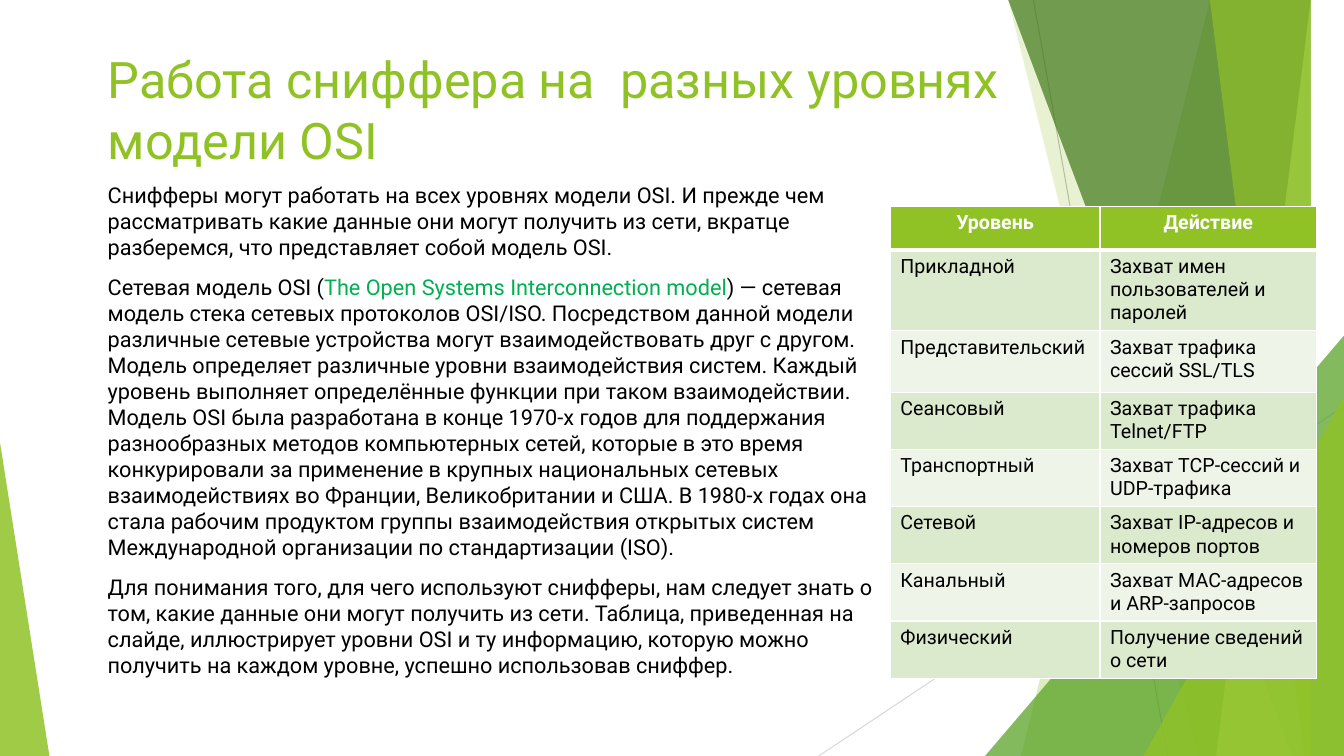
"""Builds the slide about sniffers and the levels of the OSI model."""
import lxml.etree
import pptx
import pptx.dml.color
import pptx.enum.shapes
import pptx.enum.text
import pptx.oxml.ns
import pptx.util

Inches = pptx.util.Inches
WIDTH, HEIGHT, TOP = 13.33, 7.5, -0.01

COLORS = {
    "green": "90C226", "leaf": "54A021", "forest": "3F7819", "lime": "C0E474",
    "gray": "BFBFBF", "silver": "D9D9D9", "black": "000000", "white": "FFFFFF",
    "term": "00B050", "odd row": "DBE9CD", "even row": "EEF4E8",
}

PARAGRAPHS = [
    [("Снифферы могут работать на всех уровнях модели OSI. И прежде чем рассматривать какие данные "
      "они могут получить из сети, вкратце разберемся, что представляет собой модель OSI.", "black")],
    [("Сетевая модель OSI (", "black"),
     ("The Open Systems Interconnection model", "term"),
     (") — сетевая модель стека сетевых протоколов OSI/ISO. Посредством данной модели различные "
      "сетевые устройства могут взаимодействовать друг с другом. Модель определяет различные уровни "
      "взаимодействия систем. Каждый уровень выполняет определённые функции при таком взаимодействии. "
      "Модель OSI была разработана в конце 1970-х годов для поддержания разнообразных методов "
      "компьютерных сетей, которые в это время конкурировали за применение в крупных национальных "
      "сетевых взаимодействиях во Франции, Великобритании и США. В 1980-х годах она стала рабочим "
      "продуктом группы взаимодействия открытых систем Международной организации по "
      "стандартизации (ISO).", "black")],
    [("Для понимания того, для чего используют снифферы, нам следует знать о том, какие данные они "
      "могут получить из сети. Таблица, приведенная на слайде, иллюстрирует уровни OSI и ту "
      "информацию, которую можно получить на каждом уровне, успешно использовав сниффер.", "black")],
]

LEVELS = [
    ("Уровень", "Действие"),
    ("Прикладной", "Захват имен пользователей и паролей"),
    ("Представительский", "Захват трафика сессий SSL/TLS"),
    ("Сеансовый", "Захват трафика Telnet/FTP"),
    ("Транспортный", "Захват TCP-сессий и UDP-трафика"),
    ("Сетевой", "Захват IP-адресов и номеров портов"),
    ("Канальный", "Захват MAC-адресов и ARP-запросов"),
    ("Физический", "Получение сведений о сети"),
]


class SlideBuilder:
    """Holds the style and the current slide."""

    def __init__(self, slide, font):
        self.slide = slide
        self.font = font

    def color(self, name):
        return pptx.dml.color.RGBColor.from_string(COLORS[name])

    def element(self, parent, tag, **attributes):
        return lxml.etree.SubElement(parent, pptx.oxml.ns.qn(tag), **attributes)

    def run(self, paragraph, text, size, color, bold=False):
        run = paragraph.add_run()
        run.text = text
        run.font.name = self.font
        run.font.size = pptx.util.Pt(size)
        run.font.bold = bold
        run.font.color.rgb = self.color(color)

    def line(self, start, end, color):
        connector = self.slide.shapes.add_connector(
            pptx.enum.shapes.MSO_CONNECTOR.STRAIGHT, *map(Inches, start + end))
        connector.line.color.rgb = self.color(color)
        connector.line.width = pptx.util.Pt(0.75)
        self.element(connector._element.spPr, "a:effectLst")

    def paint(self, shape, color, opacity):
        shape.shadow.inherit = False
        shape.line.fill.background()
        shape.fill.solid()
        shape.fill.fore_color.rgb = self.color(color)
        fill = shape._element.spPr.find(pptx.oxml.ns.qn("a:solidFill"))
        self.element(fill[0], "a:alpha", val=str(opacity * 1000))

    def band(self, top_left, bottom_left, color, opacity):
        builder = self.slide.shapes.build_freeform(top_left, TOP, scale=Inches(1))
        builder.add_line_segments([(WIDTH, TOP), (WIDTH, HEIGHT), (bottom_left, HEIGHT)], close=True)
        self.paint(builder.convert_to_shape(), color, opacity)

    def triangle(self, left, top, width, apex, color, opacity):
        shape = self.slide.shapes.add_shape(
            pptx.enum.shapes.MSO_SHAPE.ISOSCELES_TRIANGLE,
            Inches(left), Inches(top), Inches(width), Inches(HEIGHT - top))
        shape.adjustments[0] = apex
        self.paint(shape, color, opacity)

    def text_frame(self, left, top, width, height):
        box = self.slide.shapes.add_textbox(*map(Inches, (left, top, width, height)))
        frame = box.text_frame
        frame.word_wrap = True
        frame.vertical_anchor = pptx.enum.text.MSO_ANCHOR.TOP
        return frame

    def title(self, lines, *place):
        paragraph = self.text_frame(*place).paragraphs[0]
        for index, text in enumerate(lines):
            if index:
                paragraph.add_line_break()
            self.run(paragraph, text, 36, "green")

    def body(self, paragraphs, *place):
        frame = self.text_frame(*place)
        for index, runs in enumerate(paragraphs):
            paragraph = frame.add_paragraph() if index else frame.paragraphs[0]
            paragraph.space_before = pptx.util.Pt(10)
            for text, color in runs:
                self.run(paragraph, text, 15.5, color)

    def cell(self, cell, text, header, fill):
        cell.fill.solid()
        cell.fill.fore_color.rgb = self.color(fill)
        paragraph = cell.text_frame.paragraphs[0]
        if header:
            paragraph.alignment = pptx.enum.text.PP_ALIGN.CENTER
        self.run(paragraph, text, 14, "white" if header else "black", header)
        properties = cell._tc.get_or_add_tcPr()
        for index, side in enumerate("LRTB"):
            points = 3 if header and side == "B" else 1
            border = self.element(properties, f"a:ln{side}", w=str(pptx.util.Pt(points)))
            self.element(self.element(border, "a:solidFill"), "a:srgbClr", val=COLORS["white"])
            properties.insert(index, border)

    def table(self, rows, left, top, widths, heights):
        frame = self.slide.shapes.add_table(
            len(rows), len(widths), Inches(left), Inches(top),
            Inches(sum(widths)), Inches(sum(heights)))
        table = frame.table
        for column, width in zip(table.columns, widths):
            column.width = Inches(width)
        for index, (texts, height) in enumerate(zip(rows, heights)):
            table.rows[index].height = Inches(height)
            fill = "green" if index == 0 else "odd row" if index % 2 else "even row"
            for column, text in enumerate(texts):
                self.cell(table.cell(index, column), text, index == 0, fill)


def main():
    presentation = pptx.Presentation()
    presentation.slide_width = Inches(WIDTH)
    presentation.slide_height = Inches(HEIGHT)
    slide = presentation.slides.add_slide(presentation.slide_layouts[6])
    builder = SlideBuilder(slide, "Roboto")

    builder.line((10.25, 0), (11.58, HEIGHT), "gray")
    builder.line((WIDTH, 4.03), (8.12, HEIGHT), "silver")
    builder.band(12.28, 10.04, "green", 30)
    builder.band(10.5, 11.83, "green", 20)
    builder.triangle(9.77, 3.33, 3.56, 1, "leaf", 72)
    builder.band(10.21, 12.91, "forest", 70)
    builder.band(13.03, 11.92, "lime", 70)
    builder.band(11.96, 13.18, "green", 65)
    builder.triangle(11.34, 3.93, 1.99, 1, "green", 80)
    builder.triangle(0, 4.39, 0.49, 0, "green", 85)

    builder.title(["Работа сниффера на  разных уровнях", "модели OSI"], 0.97, 0.43, 11.25, 1.45)
    builder.body(PARAGRAPHS, 0.97, 1.75, 7.86, 5.26)
    builder.table(LEVELS, 8.83, 2.05, [2.08, 2.15],
                  [0.43, 0.4, 0.61, 0.46, 0.47, 0.47, 0.46, 0.52])
    presentation.save("out.pptx")


if __name__ == "__main__":
    main()
